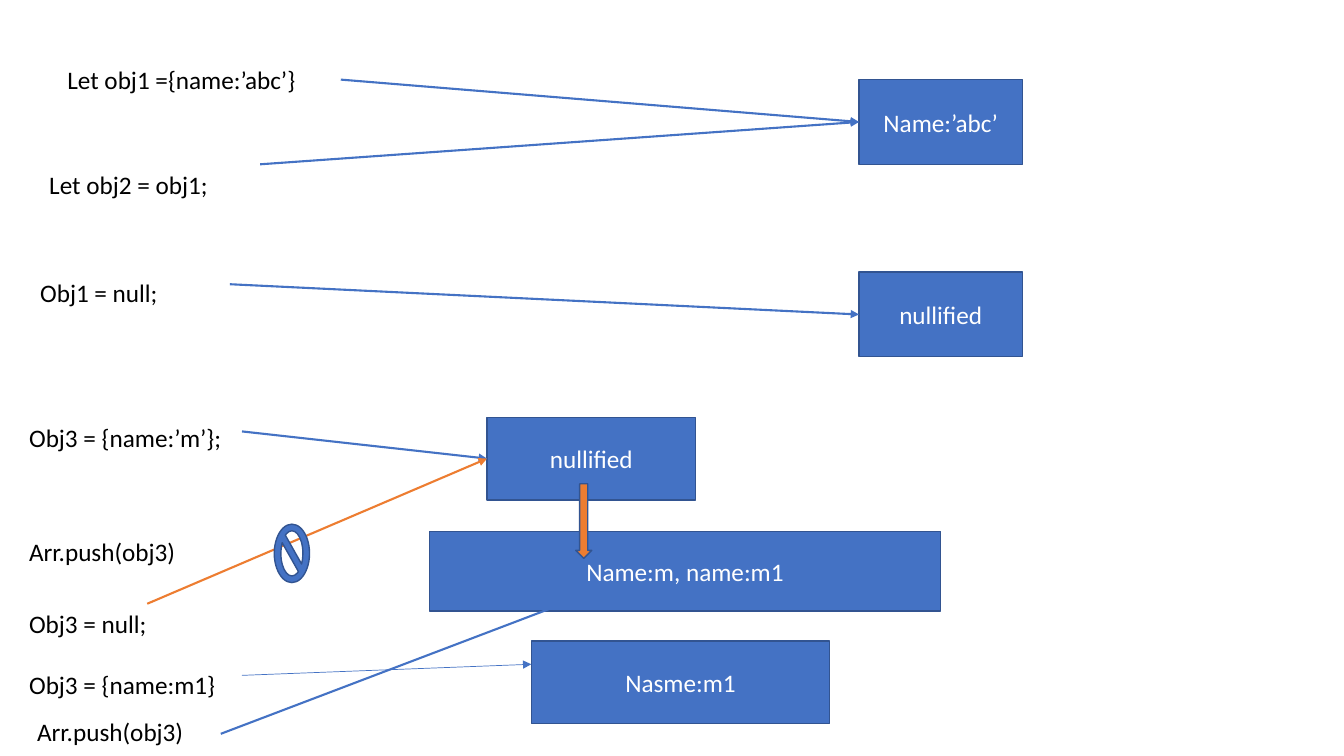
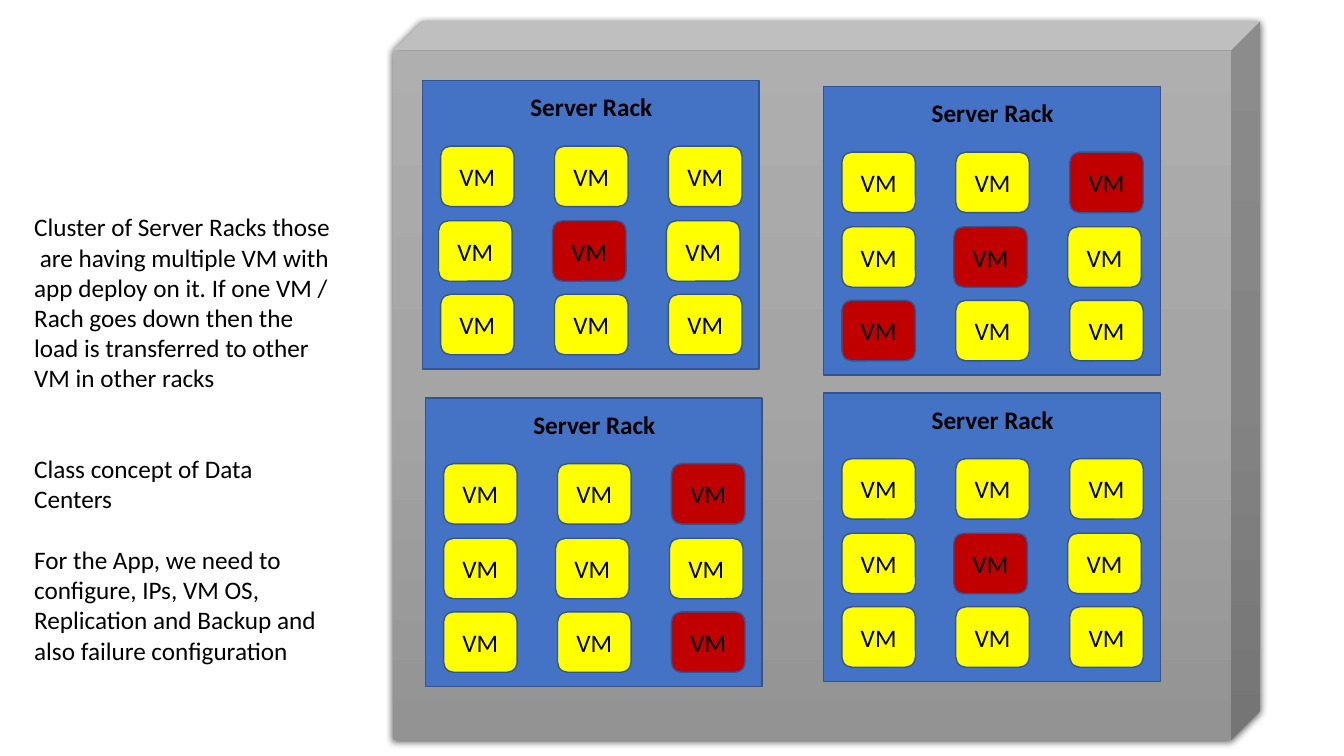
from copy import deepcopy

from lxml import etree
from pptx import Presentation
from pptx.dml.color import RGBColor
from pptx.enum.shapes import MSO_CONNECTOR, MSO_SHAPE as SHAPE
from pptx.enum.text import MSO_ANCHOR, MSO_AUTO_SIZE, PP_ALIGN
from pptx.oxml.ns import qn
from pptx.util import Inches, Pt

BLACK = RGBColor(0x00, 0x00, 0x00)
WHITE = RGBColor(0xFF, 0xFF, 0xFF)
BLUE = RGBColor(0x44, 0x72, 0xC4)
NAVY = RGBColor(0x32, 0x54, 0x91)
ORANGE = RGBColor(0xED, 0x7D, 0x31)
YELLOW = RGBColor(0xFF, 0xFF, 0x00)
RED = RGBColor(0xC0, 0x00, 0x00)
GREYS = [RGBColor(0xAF, 0xAF, 0xAF), RGBColor(0xA5, 0xA5, 0xA5), RGBColor(0x93, 0x93, 0x93)]
FONT = "Calibri"


def write(s, text, at, kind=None, fill=BLUE, color=BLACK, bold=False,
          align=PP_ALIGN.LEFT, gaps=()):
    """Add a text box, or a preset shape if kind is given; gaps is points before each paragraph."""
    box = [Inches(v) for v in at]
    if kind is None:
        sp = s.shapes.add_textbox(*box)
        sp.text_frame.auto_size = MSO_AUTO_SIZE.SHAPE_TO_FIT_TEXT
    else:
        sp = s.shapes.add_shape(kind, *box)
        sp.shadow.inherit = False
        sp.fill.solid()
        sp.fill.fore_color.rgb = fill
        sp.line.color.rgb = NAVY
        sp.line.width = Pt(1)
        sp.text_frame.vertical_anchor = MSO_ANCHOR.MIDDLE
        align = PP_ALIGN.CENTER
    tf = sp.text_frame
    tf.word_wrap = True
    tf.text = text
    for i, p in enumerate(tf.paragraphs):
        p.alignment = align
        if i < len(gaps) and gaps[i]:
            p.space_before = Pt(gaps[i])
        for r in p.runs:
            r.font.name = FONT
            r.font.size = Pt(18)
            r.font.bold = bold
            r.font.color.rgb = color
    return sp


prs = Presentation()
prs.slide_width, prs.slide_height = Inches(13.33), Inches(7.5)
blank = prs.slide_layouts[6]

# Slide 1: object references
s = prs.slides.add_slide(blank)

# Statements
for text, x, y, w in [
    ("Let obj1 ={name:’abc’}", 0.57, 0.59, 2.81),
    ("Let obj2 = obj1;", 0.39, 1.63, 3.33),
    ("Obj1 = null;", 0.3, 2.7, 3.5),
    ("Obj3 = {name:’m’};", 0.19, 4.14, 2.69),
    ("Arr.push(obj3)", 0.19, 5.27, 3.53),
    ("Obj3 = null;", 0.19, 5.99, 2.53),
    ("Obj3 = {name:m1}", 0.19, 6.59, 3.19),
    ("Arr.push(obj3)", 0.27, 7.06, 3.53),
]:
    write(s, text, (x, y, w, 0.4))

# Objects in memory
abc, nulled1, nulled3, array, m1 = [
    write(s, text, at, SHAPE.RECTANGLE, color=WHITE) for text, at in [
        ("Name:’abc’", (8.52, 0.79, 1.62, 0.84)),
        ("nullified", (8.52, 2.7, 1.62, 0.84)),
        ("nullified", (4.83, 4.14, 2.07, 0.82)),
        ("Name:m, name:m1", (4.26, 5.27, 5.07, 0.79)),
        ("Nasme:m1", (5.27, 6.36, 2.96, 0.82)),
    ]
]

# References: an arrow ends at an object's left side or at a point
for start, target, color, width in [
    ((3.38, 0.79), abc, BLUE, 1.5),
    ((2.58, 1.63), abc, BLUE, 1.5),
    ((2.28, 2.82), nulled1, BLUE, 1.5),
    ((2.4, 4.28), nulled3, BLUE, 1.5),
    ((1.46, 5.99), nulled3, ORANGE, 1.5),
    ((2.4, 6.7), (5.27, 6.59), BLUE, 0.5),
    ((2.19, 7.28), (5.95, 5.85), BLUE, 1.5),
]:
    to_point = isinstance(target, tuple)
    end = target if to_point else start
    arrow = s.shapes.add_connector(MSO_CONNECTOR.STRAIGHT, *[Inches(v) for v in start + end])
    if not to_point:
        arrow.end_connect(target, 1)
    arrow.line.color.rgb = color
    arrow.line.width = Pt(width)
    etree.SubElement(arrow.line._get_or_add_ln(), qn("a:tailEnd"), type="triangle")
    etree.SubElement(arrow._element.spPr, qn("a:effectLst"))

# Symbols
write(s, "", (5.71, 4.8, 0.16, 0.74), SHAPE.DOWN_ARROW, fill=ORANGE)
write(s, "", (2.72, 5.2, 0.35, 0.58), SHAPE.NO_SYMBOL)

# Slide 2: data center
s = prs.slides.add_slide(blank)

# Cube with a grey gradient and a soft shadow
cube = write(s, "", (3.9, 0.21, 8.6, 7.13), SHAPE.CUBE)
cube.adjustments[0] = 0.041
cube.line.fill.background()
cube.fill.gradient()
cube.fill.gradient_angle = 270
spPr = cube._element.spPr
stops = spPr.find(qn("a:gradFill")).find(qn("a:gsLst"))
stops.insert(1, deepcopy(stops[0]))
for i, stop in enumerate(cube.fill.gradient_stops):
    stop.position = i / 2
    stop.color.rgb = GREYS[i]
shadow = etree.SubElement(spPr.find(qn("a:effectLst")), qn("a:outerShdw"), blurRad=str(Pt(4.5)),
                          dist=str(Pt(1.5)), dir="5400000", algn="ctr", rotWithShape="0")
black = etree.SubElement(shadow, qn("a:srgbClr"), val="000000")
etree.SubElement(black, qn("a:alpha"), val="63000")

# Racks: position, failed VMs as (row, column), left shift of the middle row's first VM
for x, y, failed, first_shift in [
    (4.19, 0.8, {(1, 1)}, 0.02),
    (8.17, 0.86, {(0, 2), (1, 1), (2, 0)}, 0),
    (8.17, 3.9, {(1, 1)}, 0),
    (4.22, 3.95, {(0, 2), (2, 2)}, 0),
]:
    write(s, "", (x, y, 3.34, 2.86), SHAPE.RECTANGLE)
    write(s, "Server Rack", (x + 0.37, y + 0.06, 2.61, 0.4), bold=True, align=PP_ALIGN.CENTER)
    for row, dy in enumerate((0.65, 1.39, 2.12)):
        for col in range(3):
            shift = (0.02 if col else first_shift) if row == 1 else 0
            write(s, "VM", (x + 0.18 + 1.13 * col - shift, y + dy, 0.73, 0.6),
                  SHAPE.ROUNDED_RECTANGLE, fill=RED if (row, col) in failed else YELLOW)

# Explanation
write(s, "Cluster of Server Racks those  are having multiple VM with app deploy on it. "
         "If one VM / Rach goes down then the load is transferred to other VM in other racks\n"
         "Class concept of Data Centers\n"
         "For the App, we need to configure, IPs, VM OS, Replication and Backup "
         "and also failure configuration",
      (0.24, 2.05, 3.15, 4.64), gaps=(0, 43.2, 21.6))

prs.save("out.pptx")
